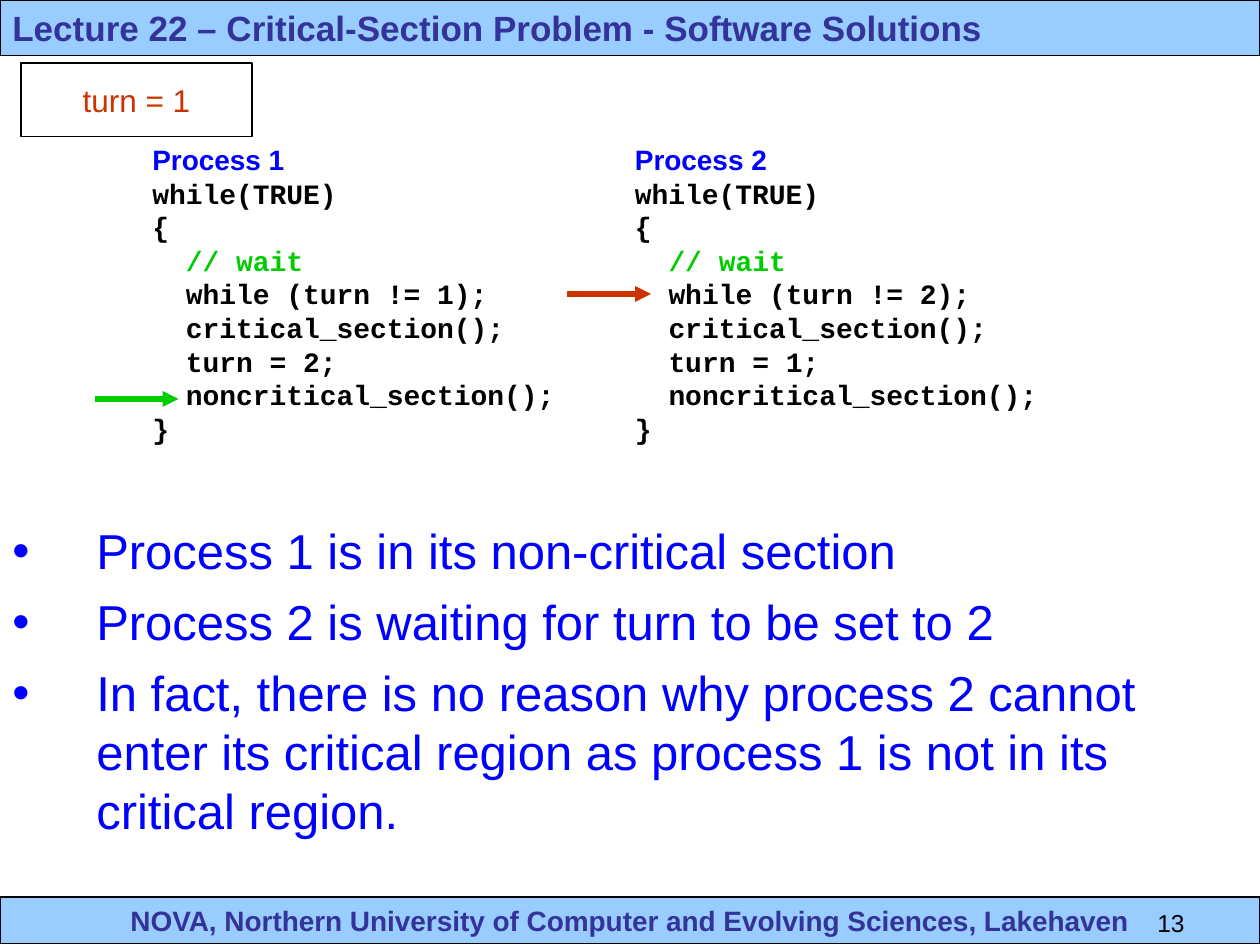
from pptx import Presentation
from pptx.dml.color import RGBColor
from pptx.enum.shapes import MSO_CONNECTOR as CONNECTOR, MSO_SHAPE as SHAPE
from pptx.enum.text import MSO_ANCHOR as ANCHOR, PP_ALIGN as ALIGN
from pptx.oxml.ns import qn
from pptx.util import Pt
from lxml.etree import SubElement

COLORS = {
    "band": "99CCFF", "band_text": "333399", "white": "FFFFFF", "black": "000000",
    "blue": "0000FF", "green": "00CC00", "red": "CC3300",
}


def rgb(name):
    return RGBColor.from_string(COLORS[name])


def add_text(paragraph, text, size, color, bold=False, font="Arial"):
    run = paragraph.add_run()
    run.text = text
    run.font.size = Pt(size)
    run.font.name = font
    run.font.bold = bold
    run.font.color.rgb = rgb(color)


presentation = Presentation()
presentation.slide_width, presentation.slide_height = Pt(720), Pt(540)
slide = presentation.slides.add_slide(presentation.slide_layouts[6])
shapes = slide.shapes

# Footer band, title band and the box with the shared variable
boxes = [
    (0, 512.64, 720, 26.64, "band", 0.75, ALIGN.CENTER, ANCHOR.TOP,
     "NOVA, Northern University of Computer and Evolving Sciences, Lakehaven", 16, "band_text", True),
    (0, 0, 720, 31.68, "band", 0.75, ALIGN.LEFT, ANCHOR.TOP,
     "Lecture 22 – Critical-Section Problem - Software Solutions", 20, "band_text", True),
    (12, 36, 132, 42, "white", 1, ALIGN.CENTER, ANCHOR.MIDDLE, "turn = 1", 18, "red", False),
]
for left, top, width, height, fill, line, align, anchor, text, size, color, bold in boxes:
    box = shapes.add_shape(SHAPE.RECTANGLE, Pt(left), Pt(top), Pt(width), Pt(height))
    box.shadow.inherit = False
    box.fill.solid()
    box.fill.fore_color.rgb = rgb(fill)
    box.line.color.rgb = rgb("black")
    box.line.width = Pt(line)
    box.text_frame.word_wrap = True
    box.text_frame.vertical_anchor = anchor
    paragraph = box.text_frame.paragraphs[0]
    paragraph.alignment = align
    add_text(paragraph, text, size, color, bold)

# Slide number
number_frame = shapes.add_textbox(Pt(516), Pt(515.5), Pt(168), Pt(37.5)).text_frame
number_frame.word_wrap = True
number_frame.paragraphs[0].alignment = ALIGN.RIGHT
add_text(number_frame.paragraphs[0], "13", 14, "black")

# Bulleted remarks
remarks = [
    "Process 1 is in its non-critical section",
    "Process 2 is waiting for turn to be set to 2",
    "In fact, there is no reason why process 2 cannot enter its critical region "
    "as process 1 is not in its critical region.",
]
remarks_frame = shapes.add_textbox(0, Pt(294), Pt(720), Pt(294)).text_frame
remarks_frame.word_wrap = True
for index, remark in enumerate(remarks):
    paragraph = remarks_frame.add_paragraph() if index else remarks_frame.paragraphs[0]
    paragraph.space_before = Pt(7)
    properties = paragraph._p.get_or_add_pPr()
    properties.set("marL", str(Pt(48)))
    properties.set("indent", str(-Pt(48)))
    bullet_color = SubElement(properties, qn("a:buClr"))
    SubElement(bullet_color, qn("a:srgbClr"), val=COLORS["blue"])
    SubElement(properties, qn("a:buFont"), typeface="Arial")
    SubElement(properties, qn("a:buChar"), char="•")
    add_text(paragraph, remark, 28, "blue")

# Code of the two processes; indented lines start two characters in
code_indent = Pt(19.2)
for process, other, left in [(1, 2, 80), (2, 1, 355.75)]:
    code_lines = [
        ("while(TRUE)", 0, "black"),
        ("{", 0, "black"),
        ("// wait", 1, "green"),
        (f"while (turn != {process});", 1, "black"),
        ("critical_section();", 1, "black"),
        (f"turn = {other};", 1, "black"),
        ("noncritical_section();", 1, "black"),
        ("}", 0, "black"),
    ]
    code_frame = shapes.add_textbox(Pt(left), Pt(78), Pt(364), Pt(180)).text_frame
    code_frame.word_wrap = True
    add_text(code_frame.paragraphs[0], f"Process {process}", 16, "blue", True)
    for text, depth, color in code_lines:
        paragraph = code_frame.add_paragraph()
        paragraph._p.get_or_add_pPr().set("marL", str(depth * code_indent))
        add_text(paragraph, text, 16, color, True, "Courier New")

# Arrows at the line each process has reached
for left, y, color in [(54, 228, "green"), (324, 168, "red")]:
    arrow = shapes.add_connector(CONNECTOR.STRAIGHT, Pt(left), Pt(y), Pt(left + 48), Pt(y))
    arrow.line.color.rgb = rgb(color)
    arrow.line.width = Pt(3)
    SubElement(arrow.line._get_or_add_ln(), qn("a:tailEnd"), type="triangle")
    SubElement(arrow._element.spPr, qn("a:effectLst"))

presentation.save("out.pptx")
